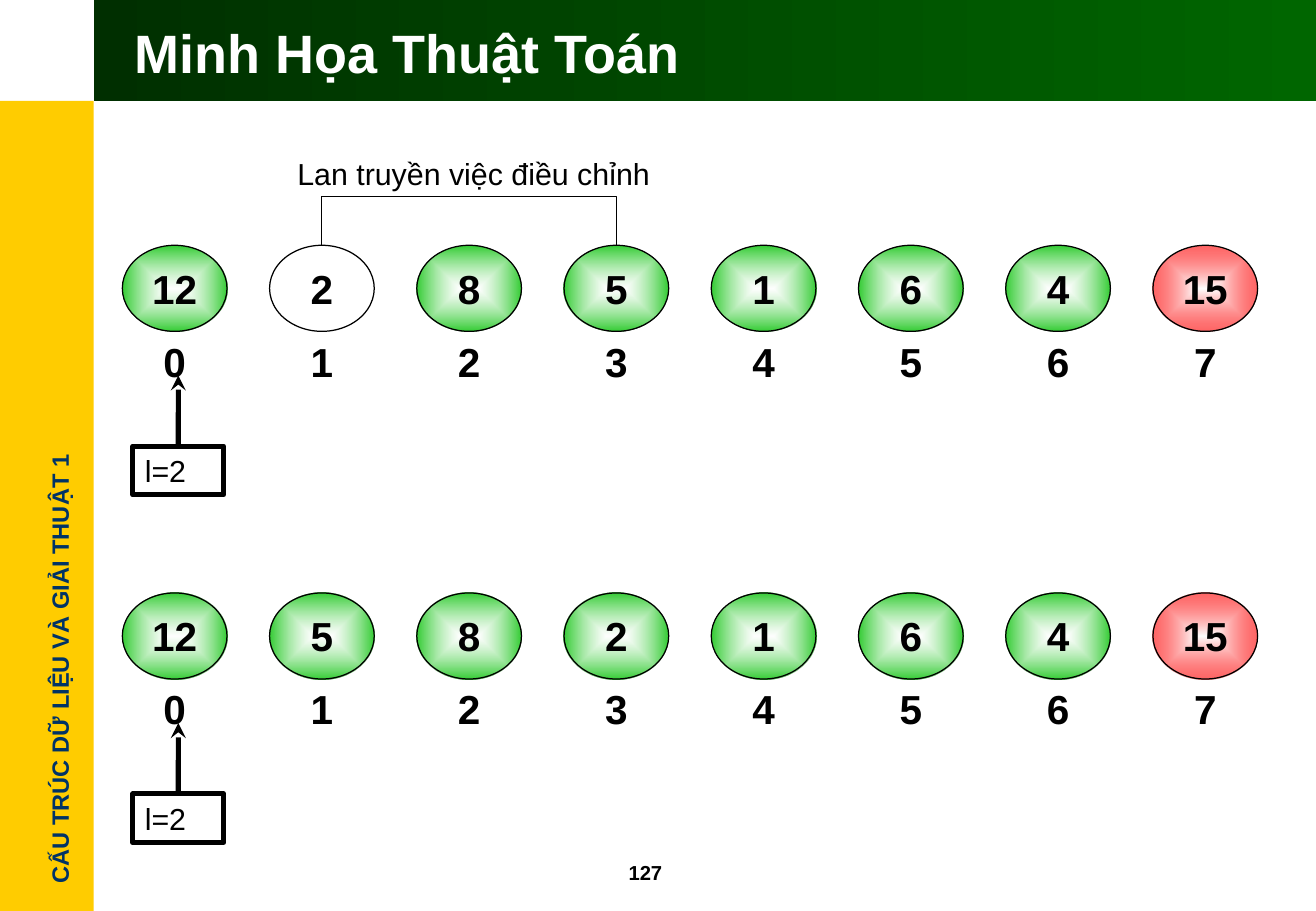
import pptx
import pptx.dml.color
import pptx.enum.dml
import pptx.enum.shapes
import pptx.enum.text
import pptx.oxml
import pptx.oxml.ns
import pptx.util
from pptx.util import Cm

SHAPE = pptx.enum.shapes.MSO_SHAPE
CONNECTOR = pptx.enum.shapes.MSO_CONNECTOR
ANCHOR = pptx.enum.text.MSO_ANCHOR
ALIGN = pptx.enum.text.PP_ALIGN
NS = pptx.oxml.ns.nsdecls("a")
qn = pptx.oxml.ns.qn


def rgb(hex_code):
    return pptx.dml.color.RGBColor.from_string(hex_code)


def write(shape, text, size, bold=True, color="000000", align=ALIGN.LEFT,
          anchor=ANCHOR.TOP, wrap=True):
    frame = shape.text_frame
    frame.word_wrap = wrap
    frame.vertical_anchor = anchor
    paragraph = frame.paragraphs[0]
    paragraph.text = text
    paragraph.alignment = align
    font_format = {"name": "Arial", "size": pptx.util.Pt(size), "bold": bold}
    for attribute, value in font_format.items():
        setattr(paragraph.font, attribute, value)
    paragraph.font.color.rgb = rgb(color)


prs = pptx.Presentation()
prs.slide_width, prs.slide_height = Cm(27.53), Cm(19.05)
slide = prs.slides.add_slide(prs.slide_layouts[6])
shapes = slide.shapes

# Side band with the course name
side_band = shapes.add_shape(SHAPE.RECTANGLE, 0, Cm(2.11), Cm(1.96), Cm(16.94))
side_band.shadow.inherit = False
side_band.fill.solid()
side_band.fill.fore_color.rgb = rgb("FFCC00")
side_band.line.fill.background()

course = shapes.add_textbox(Cm(-3.48), Cm(13.56), Cm(9.47), Cm(0.86))
course.rotation = 270
write(course, "CẤU TRÚC DỮ LIỆU VÀ GIẢI THUẬT 1", 14, color="003366", wrap=False)

# Title band, title and page number
title_band = shapes.add_shape(SHAPE.RECTANGLE, Cm(1.96), 0, Cm(25.57), Cm(2.11))
title_band.shadow.inherit = False
title_band.fill.gradient()
title_band.fill.gradient_angle = 0
for stop, color in zip(title_band.fill.gradient_stops, ("002F00", "006600")):
    stop.color.rgb = rgb(color)
title_band.line.fill.background()

page_number = shapes.add_textbox(Cm(12.9), Cm(17.86), Cm(2.11), Cm(0.76))
write(page_number, "127", 12)

title = shapes.add_textbox(Cm(2.57), Cm(0.23), Cm(24.41), Cm(1.7))
write(title, "Minh Họa Thuật Toán", 32, color="FFFFFF", anchor=ANCHOR.MIDDLE)

# Two states of the array: values, positions and the pointer l
FIRST_LEFT, PITCH = 2.56, 3.08
NODE_WIDTH, NODE_HEIGHT = 2.19, 1.8
GREEN = (("FFFFFF", 60), ("33CC33", 100))
RED = (("FFFFFF", 100), ("FF0000", 60))
states = [
    (5.13, ["12", "2", "8", "5", "1", "6", "4", "15"], 1),
    (12.4, ["12", "5", "8", "2", "1", "6", "4", "15"], None),
]
nodes = []
for top, values, blank_position in states:
    for position, value in enumerate(values):
        left = Cm(FIRST_LEFT + position * PITCH)
        node = shapes.add_shape(SHAPE.OVAL, left, Cm(top), Cm(NODE_WIDTH), Cm(NODE_HEIGHT))
        node.shadow.inherit = False
        if position == blank_position:
            node.fill.solid()
            node.fill.fore_color.rgb = rgb("FFFFFF")
        else:
            node.fill.gradient()
            stops = RED if value == "15" else GREEN
            for stop, (color, _) in zip(node.fill.gradient_stops, stops):
                stop.color.rgb = rgb(color)
            gradient = node._element.spPr.find(qn("a:gradFill"))
            for color_xml, (_, opacity) in zip(gradient.iter(qn("a:srgbClr")), stops):
                if opacity < 100:
                    color_xml.append(pptx.oxml.parse_xml(
                        f'<a:alpha {NS} val="{opacity * 1000}"/>'))
            gradient.replace(gradient.find(qn("a:lin")), pptx.oxml.parse_xml(
                f'<a:path {NS} path="rect"><a:fillToRect l="50000" t="50000" '
                'r="50000" b="50000"/></a:path>'))
        node.line.color.rgb = rgb("000000")
        node.line.width = pptx.util.Pt(0.75)
        write(node, value, 24, align=ALIGN.CENTER)
        nodes.append(node)

        index = shapes.add_shape(SHAPE.OVAL, left, Cm(top + 1.52), Cm(NODE_WIDTH), Cm(NODE_HEIGHT))
        index.shadow.inherit = False
        index.fill.background()
        index.line.fill.background()
        write(index, str(position), 24, align=ALIGN.CENTER)

    pointer = shapes.add_shape(SHAPE.RECTANGLE, Cm(2.78), Cm(top + 4.2), Cm(1.9), Cm(1.02))
    pointer.shadow.inherit = False
    pointer.fill.background()
    write(pointer, "l=2", 18, bold=False)

    arrow = shapes.add_connector(
        CONNECTOR.STRAIGHT, Cm(3.73), Cm(top + 4.2), Cm(3.73), Cm(top + 2.72))
    arrow.begin_connect(pointer, 0)
    for outlined in (pointer, arrow):
        outlined.line.color.rgb = rgb("000000")
        outlined.line.width = pptx.util.Pt(3)
    arrow.line._get_or_add_ln().append(
        pptx.oxml.parse_xml(f'<a:tailEnd {NS} type="stealth"/>'))
    arrow._element.spPr.append(pptx.oxml.parse_xml(f"<a:effectLst {NS}/>"))

# Bracket from position 1 to position 3, rising above the first row
RISE, DEPTH = Cm(1.02), Cm(0.01)
start, end = nodes[1], nodes[3]
span = end.left - start.left
bracket = shapes.add_connector(CONNECTOR.ELBOW, 0, 0, span, DEPTH)
bracket.begin_connect(start, 0)
bracket.end_connect(end, 0)
bracket_box = {
    "left": start.left + start.width // 2 + (span - DEPTH) // 2,
    "top": start.top - span // 2,
    "width": DEPTH,
    "height": span,
}
for attribute, value in bracket_box.items():
    setattr(bracket, attribute, value)
bracket_xml = bracket._element.spPr
bracket_xml.find(qn("a:xfrm")).set("rot", "16200000")
bracket_xml.find(qn("a:xfrm")).set("flipH", "1")
geometry = bracket_xml.find(qn("a:prstGeom"))
for old_adjustments in geometry.findall(qn("a:avLst")):
    geometry.remove(old_adjustments)
geometry.append(pptx.oxml.parse_xml(
    f'<a:avLst {NS}><a:gd name="adj1" fmla="val {-100000 * RISE // DEPTH}"/></a:avLst>'))
bracket.line.color.rgb = rgb("000000")
bracket.line.width = pptx.util.Pt(0.75)
bracket_xml.append(pptx.oxml.parse_xml(f"<a:effectLst {NS}/>"))

# Label on one line above the bracket
bracket_label = shapes.add_textbox(Cm(5.97), Cm(3.12), Cm(8.4), Cm(1.02))
write(bracket_label, "Lan truyền việc điều chỉnh", 18, bold=False)

prs.save("out.pptx")
